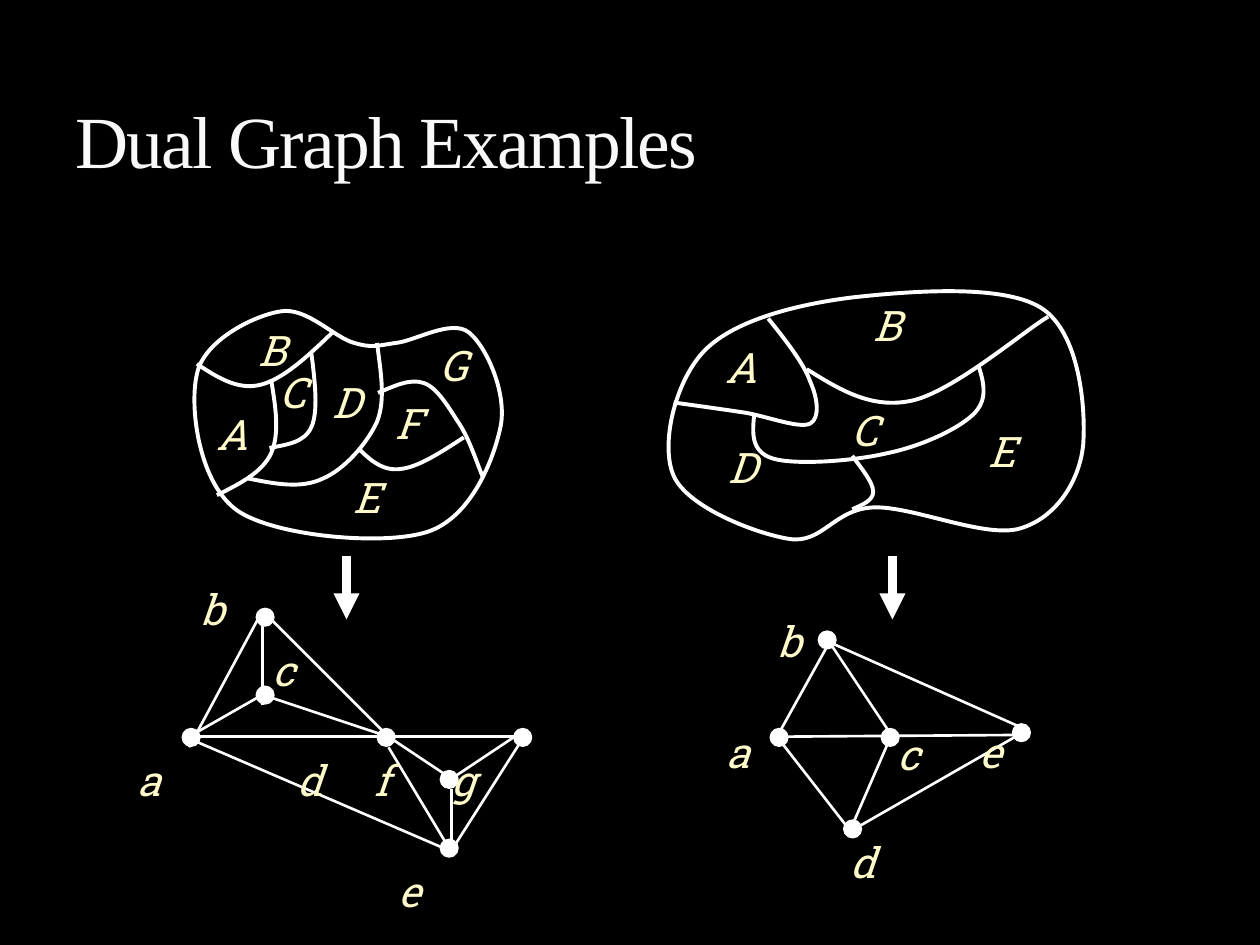
from lxml.etree import SubElement
from pptx import Presentation
from pptx.dml.color import RGBColor
from pptx.enum.shapes import MSO_CONNECTOR, MSO_SHAPE
from pptx.enum.text import MSO_ANCHOR, MSO_AUTO_SIZE, PP_ALIGN
from pptx.oxml.ns import qn
from pptx.util import Pt


def paint(color_format, color):
    color_format.rgb = RGBColor.from_string(color)


def add_line(x1, y1, x2, y2, width):
    line = slide.shapes.add_connector(
        MSO_CONNECTOR.STRAIGHT, Pt(x1), Pt(y1), Pt(x2), Pt(y2))
    paint(line.line.color, WHITE)
    line.line.width = Pt(width)
    SubElement(line._element.spPr, qn("a:effectLst"))
    return line


WHITE = "FFFFFF"
CREAM = "FEFAC9"
NODE_SIZE = 9.4

presentation = Presentation()
presentation.slide_width, presentation.slide_height = Pt(720), Pt(540)
slide = presentation.slides.add_slide(presentation.slide_layouts[5])
slide.background.fill.solid()
paint(slide.background.fill.fore_color, "000000")

title = slide.shapes.title
title.left, title.top, title.width, title.height = Pt(36), Pt(12.5), Pt(648), Pt(96)
title.text_frame.text = "Dual Graph Examples"
title.text_frame.auto_size = MSO_AUTO_SIZE.NONE
title.text_frame.vertical_anchor = MSO_ANCHOR.BOTTOM
paragraph = title.text_frame.paragraphs[0]
paragraph.alignment = PP_ALIGN.LEFT
paragraph.font.size = Pt(42)
paragraph.font.name = "Times New Roman"
paint(paragraph.font.color, "F9F9F9")
paragraph.runs[0]._r.get_or_add_rPr().set("spc", "-100")

left_map = [
    [(226, 196), (215.5, 197.5), (213, 199), (202.5, 196), (191, 193), (175, 175),
     (160, 178), (144.5, 180.5), (116, 195), (112.5, 214), (108, 233.5), (114, 277),
     (136, 292), (157.5, 306.5), (219, 312), (244, 304), (269, 296), (282, 263),
     (286, 244), (290, 225), (278, 198), (268, 190), (258, 182), (237, 195), (226, 196)],
    [(112.5, 208), (124, 215.5), (135.5, 223), (148.5, 220), (161.5, 217),
     (175.5, 204), (190, 190)],
    [(155, 217), (157.5, 232.5), (160, 247.5), (155, 259), (150, 270),
     (137, 276.5), (124, 283)],
    [(154, 256), (164, 254), (174, 253), (178, 244), (182, 235), (180, 218), (178, 202)],
    [(142, 273.5), (157, 276.5), (172, 279.5), (184.5, 273.5), (196.5, 268.5),
     (209.5, 254), (215.5, 241), (220.5, 228), (217.5, 212.5), (215.5, 196)],
    [(216, 224.5), (225.5, 220.5), (234.5, 216), (242.5, 219), (250.5, 222),
     (257, 234), (263, 243), (268.5, 252), (272, 263), (276, 273)],
    [(205, 256.5), (211.5, 263), (219, 269.5), (229, 268), (239, 267),
     (252, 258.5), (265, 250)],
]
right_map = [
    [(403, 200), (420, 183), (455, 174), (487, 170), (519, 166.5), (573, 162),
     (595, 176), (617, 190), (620.5, 233), (619, 254), (617, 275), (603.5, 296),
     (583, 302), (563, 308), (521, 289), (499, 290), (476.5, 291), (470, 311),
     (451, 308), (432, 305), (393, 290), (385, 272), (377, 254), (386, 217), (403, 200)],
    [(385, 230), (399.5, 232), (414, 234), (427, 236), (440, 238.5), (457, 245),
     (463, 242), (468.5, 239), (467.5, 228), (463, 218), (459.5, 208), (449.5, 195),
     (439, 182)],
    [(461, 211), (479.5, 222.5), (498, 234), (521, 229), (544.5, 224),
     (586, 188.5), (599, 181)],
    [(431, 237), (430, 247.5), (429, 258), (441.5, 262), (454.5, 266), (488, 263.5),
     (507, 259), (526.5, 255), (547, 245.5), (556, 237), (564.5, 229),
     (562.5, 219.5), (559.5, 210)],
    [(487, 260.5), (493, 268.5), (499, 276), (499, 281), (499, 286),
     (493, 288.5), (487, 291)],
]
for controls in left_map + right_map:
    start, *others = [(Pt(x), Pt(y)) for x, y in controls]
    builder = slide.shapes.build_freeform(*start)
    builder.add_line_segments(others, close=start == others[-1])
    border = builder.convert_to_shape()
    segments = list(border._element.iter(qn("a:lnTo")))
    for first in range(0, len(segments), 3):
        outline = segments[first].getparent()
        curve = SubElement(outline, qn("a:cubicBezTo"))
        segments[first].addprevious(curve)
        for segment in segments[first:first + 3]:
            curve.append(segment[0])
            outline.remove(segment)
    border.shadow.inherit = False
    border.fill.background()
    paint(border.line.color, WHITE)
    border.line.width = Pt(2.25)

left_edges = [
    (108, 421, 150, 397), (150, 349, 150, 403), (108, 427, 150, 349),
    (156, 355, 222, 421), (150, 397, 222, 421), (108, 421, 294, 421),
    (222, 427, 258, 487), (222, 421, 258, 445), (294, 421, 258, 445),
    (300, 420, 258, 486), (258, 451, 258, 487), (108, 422, 259, 487),
]
right_edges = [
    (444, 421, 474, 367), (474, 367, 508, 418), (474, 367, 582, 415),
    (443, 421, 581, 420), (509, 421, 486, 474), (444, 421, 486, 475),
    (486, 475, 582, 420),
]
for edge in left_edges + right_edges:
    add_line(*edge, 1.5)

left_nodes = [(146.8, 348), (146.8, 392.5), (104.5, 416.7), (216, 416.7),
              (294, 416.7), (252, 440.7), (252, 480)]
right_nodes = [(468, 361), (504, 416.7), (579, 414), (440.5, 416.7), (482.5, 469)]
for x, y in left_nodes + right_nodes:
    node = slide.shapes.add_shape(
        MSO_SHAPE.OVAL, Pt(x), Pt(y), Pt(NODE_SIZE), Pt(NODE_SIZE))
    node.shadow.inherit = False
    node.fill.solid()
    paint(node.fill.fore_color, WHITE)
    paint(node.line.color, WHITE)
    node.line.width = Pt(1.5)

region_labels = [
    ("A", 116.5, 229.8), ("B", 140.5, 181.8), ("C", 152.5, 206), ("D", 183, 211.5),
    ("E", 194.8, 265.8), ("F", 219, 223.7), ("G", 244, 190.7),
    ("A", 407.5, 191.5), ("B", 491.8, 167.7), ("C", 479.5, 227.5), ("D", 409, 248.5),
    ("E", 558, 239.7), ("c", 148.8, 365), ("c", 506, 412.5),
]
blocks = [
    (x, y, 32, 36, 7.2, [(letter, 0, 0, [])]) for letter, x, y in region_labels
]
blocks += [
    (66, 330, 255, 180, 12.8, [("b", 36, 0, []),
                               ("a\td\tf\tg", 0, 69, [91, 135.5, 179.5]),
                               ("e", 149, 34.2, [])]),
    (402, 348, 217, 151, 13, [("b", 29.5, 0, []),
                              ("a\te", 0, 34.5, [144.5]),
                              ("d", 71, 34.5, [])]),
]
for x, y, width, height, inset, rows in blocks:
    label = slide.shapes.add_textbox(Pt(x), Pt(y), Pt(width), Pt(height))
    label.text_frame.word_wrap = True
    label.text_frame.margin_left = Pt(inset)
    label.text_frame.text = "\n".join(row[0] for row in rows)
    for paragraph, (text, indent, gap, tabs) in zip(label.text_frame.paragraphs, rows):
        paragraph.space_before = Pt(gap)
        paragraph.font.size = Pt(24)
        paragraph.font.name = "Roboto Slab"
        paragraph.font.italic = True
        paint(paragraph.font.color, CREAM)
        properties = paragraph._p.get_or_add_pPr()
        properties.set("marL", str(Pt(indent)))
        if tabs:
            tab_list = SubElement(properties, qn("a:tabLst"))
            properties.find(qn("a:defRPr")).addprevious(tab_list)
            for position in tabs:
                SubElement(tab_list, qn("a:tab"), pos=str(Pt(position)), algn="l")

for x in (198, 510):
    arrow = add_line(x, 318, x, 354, 5)
    SubElement(arrow.line._get_or_add_ln(), qn("a:tailEnd"), type="triangle")

presentation.save("out.pptx")
